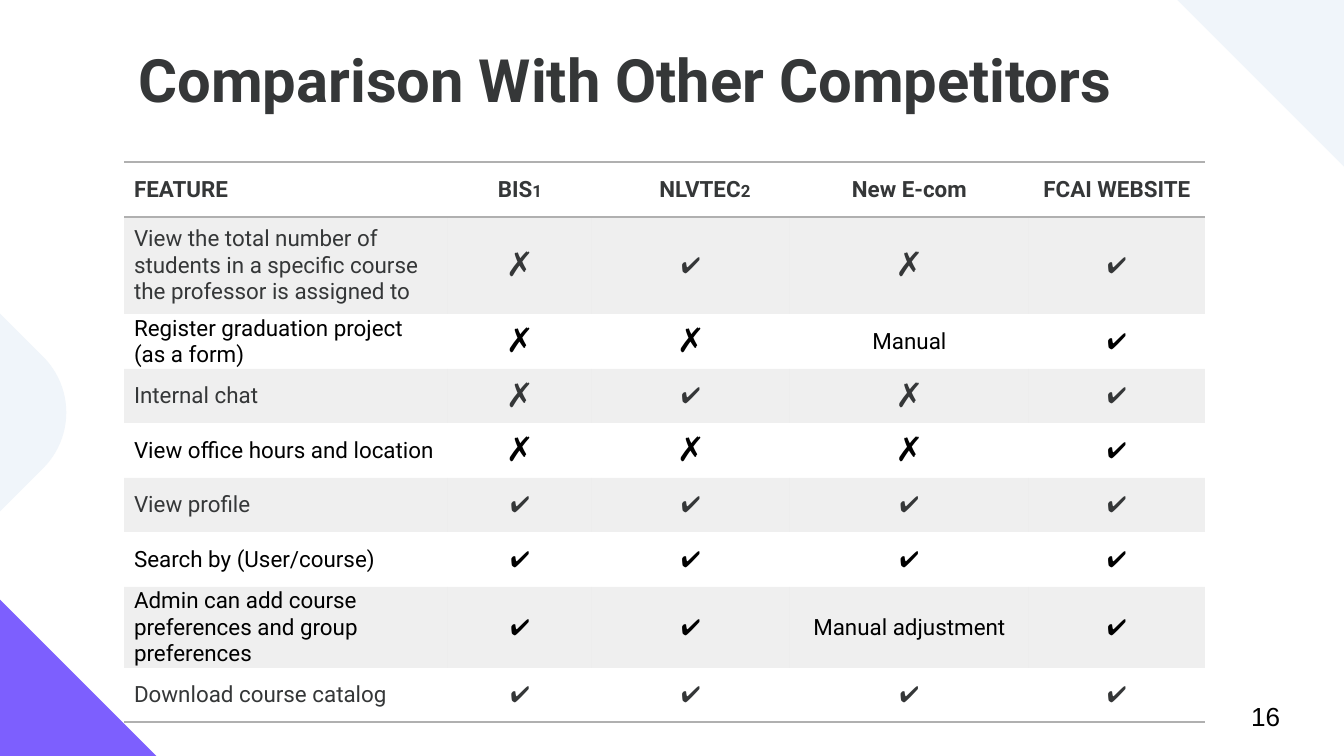
from lxml import etree
from pptx import Presentation, util as u
from pptx.dml.color import RGBColor
from pptx.enum import shapes, text
from pptx.oxml import ns

INK = RGBColor(0x35, 0x37, 0x38)
BLACK = RGBColor(0, 0, 0)
RULE = RGBColor(0xB0, 0xB0, 0xB0)
MIST = RGBColor(0xF0, 0xF5, 0xFA)
VIOLET = RGBColor(0x7D, 0x5F, 0xFE)
PLAIN_TABLE = "{2D5ABB26-0587-4C30-8999-92F81FD0307C}"
YES, NO = "✔", "✗"

COLUMNS = [324, 144, 198, 239, 176]
ROW_HEIGHTS = [55, 97, 55, 54, 55, 54, 55, 81, 54]
HEADER = [("FEATURE", ""), ("BIS", "1"), ("NLVTEC", "2"), ("New E-com", ""), ("FCAI WEBSITE", "")]
FEATURES = [
    ("View the total number of students in a specific course the professor is assigned to",
     INK, [NO, YES, NO, YES]),
    ("Register graduation project (as a form)", BLACK, [NO, NO, "Manual", YES]),
    ("Internal chat", INK, [NO, YES, NO, YES]),
    ("View office hours and location", BLACK, [NO, NO, NO, YES]),
    ("View profile", INK, [YES] * 4),
    ("Search by (User/course)", BLACK, [YES] * 4),
    ("Admin can add course preferences and group preferences",
     BLACK, [YES, YES, "Manual adjustment", YES]),
    ("Download course catalog", INK, [YES] * 4),
]


def px(length):
    return u.Emu(length * 6804)


class Painter:
    """Draws styled elements on the current slide."""

    def __init__(self, slide, font="Roboto"):
        self.slide = slide
        self.font = font

    def style(self, paragraph, size, color, bold=False, font=None):
        paragraph.font.name = font or self.font
        paragraph.font.size = u.Pt(size)
        paragraph.font.bold = bold
        paragraph.font.color.rgb = color

    def diamond(self, left, top, size, color):
        box = self.slide.shapes.add_shape(
            shapes.MSO_SHAPE.ROUNDED_RECTANGLE, px(left), px(top), px(size), px(size))
        box.rotation = 315
        box.shadow.inherit = False
        box.fill.solid()
        box.fill.fore_color.rgb = color
        box.line.fill.background()

    def label(self, words, left, top, width, height, anchor, **style):
        box = self.slide.shapes.add_textbox(px(left), px(top), px(width), px(height))
        frame = box.text_frame
        frame.word_wrap = True
        frame.vertical_anchor = anchor
        paragraph = frame.paragraphs[0]
        paragraph.text = words
        self.style(paragraph, **style)

    def table(self, left, top, widths, heights):
        frame = self.slide.shapes.add_table(
            len(heights), len(widths), px(left), px(top), px(sum(widths)), px(sum(heights)))
        table = frame.table
        table.first_row = table.horz_banding = False
        table._tbl.tblPr.find(ns.qn("a:tableStyleId")).text = PLAIN_TABLE
        for column, width in zip(table.columns, widths):
            column.width = px(width)
        for row, height in zip(table.rows, heights):
            row.height = px(height)
        return table

    def cell(self, cell, words, centred, size, color, bold, note=""):
        cell.margin_left = cell.margin_right = px(10)
        cell.margin_top = cell.margin_bottom = 0
        cell.vertical_anchor = text.MSO_ANCHOR.MIDDLE
        paragraph = cell.text_frame.paragraphs[0]
        paragraph.text = words
        paragraph.space_after = u.Pt(3)
        paragraph.alignment = text.PP_ALIGN.CENTER if centred else text.PP_ALIGN.LEFT
        self.style(paragraph, size, color, bold)
        if note:
            span = paragraph.add_run()
            span.text = note
            span.font.size = u.Pt(9)

    def shade(self, cell):
        cell.fill.solid()
        cell.fill.fore_color.rgb = RULE
        color = cell._tc.tcPr.find(".//" + ns.qn("a:srgbClr"))
        etree.SubElement(color, ns.qn("a:alpha"), val="20000")

    def rules(self, cell, sides):
        for position, side in enumerate(sides):
            line = etree.Element(ns.qn("a:ln" + side), w=str(u.Pt(1)))
            fill = etree.SubElement(line, ns.qn("a:solidFill"))
            etree.SubElement(fill, ns.qn("a:srgbClr"), val=str(RULE))
            cell._tc.get_or_add_tcPr().insert(position, line)


def main():
    deck = Presentation()
    deck.slide_width, deck.slide_height = px(1344), px(756)
    page = Painter(deck.slides.add_slide(deck.slide_layouts[6]))

    page.label("16", 1238, 693, 66, 46, text.MSO_ANCHOR.MIDDLE,
               size=14, color=BLACK, font="Arial")
    for left, top, color in [(1203, -309, MIST), (-472, 176, MIST), (-314, 620, VIOLET)]:
        page.diamond(left, top, 473, color)
    page.label("Comparison With Other Competitors", 125, 36, 1140, 86, text.MSO_ANCHOR.TOP,
               size=32, color=INK, bold=True)

    table = page.table(124, 162, COLUMNS, ROW_HEIGHTS)
    for column, (words, note) in enumerate(HEADER):
        cell = table.cell(0, column)
        page.cell(cell, words, column > 0, 12, INK, True, note)
        page.rules(cell, "TB")
    table.cell(0, 2).margin_left = px(38)

    for row, (feature, color, marks) in enumerate(FEATURES, 1):
        for column, words in enumerate([feature, *marks]):
            cell = table.cell(row, column)
            size = 18 if words == NO else 12
            page.cell(cell, words, column > 0, size, color, column == 4 and row > 1)
            if row % 2:
                page.shade(cell)
            if row == len(FEATURES):
                page.rules(cell, "B")

    deck.save("out.pptx")


if __name__ == "__main__":
    main()
